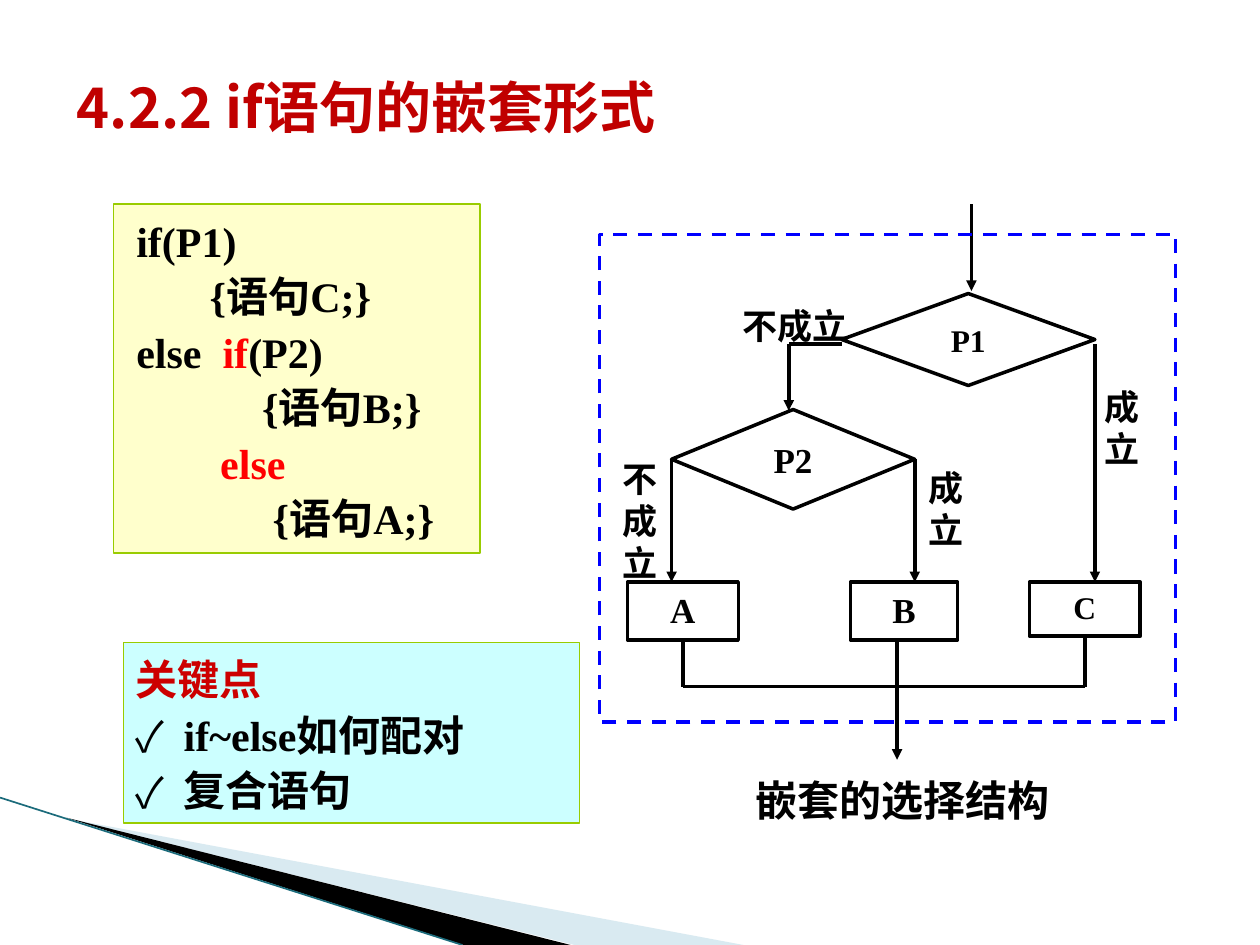
from dataclasses import dataclass

from lxml.etree import SubElement
from pptx import Presentation
from pptx.dml.color import RGBColor
from pptx.enum.dml import MSO_LINE
from pptx.enum.shapes import MSO_CONNECTOR, MSO_SHAPE
from pptx.enum.text import MSO_ANCHOR, PP_ALIGN
from pptx.oxml.ns import qn
from pptx.util import Inches, Pt


@dataclass(frozen=True)
class Theme:
    black: str = "000000"
    red: str = "FF0000"
    dark_red: str = "CC0000"
    title_red: str = "C00000"
    blue: str = "0000FF"
    green: str = "99CC00"
    yellow: str = "FFFFCC"
    cyan: str = "CCFFFF"
    swoosh: str = "A0CBDC"
    swoosh_edge: str = "1B6B7B"
    latin_font: str = "Times New Roman"
    chinese_font: str = "Noto Sans CJK SC"
    title_size: int = 32
    body_size: int = 24
    label_size: int = 20
    small_size: int = 18
    panel_pitch: float = 31.7
    label_pitch: float = 24
    stroke: float = 2


THEME = Theme()
TOP, LEFT, BOTTOM, RIGHT = range(4)


def inches(*values):
    return [Inches(value) for value in values]


def style_span(span, size, color=THEME.black, font=THEME.latin_font):
    span.font.size = Pt(size)
    span.font.bold = True
    span.font.color.rgb = RGBColor.from_string(color)
    span.font.name = font
    SubElement(span._r.get_or_add_rPr(), qn("a:ea")).set("typeface", THEME.chinese_font)


def style_shape(shape, fill=None, line=None, width=THEME.stroke):
    shape.shadow.inherit = False
    if fill:
        shape.fill.solid()
        shape.fill.fore_color.rgb = RGBColor.from_string(fill)
    else:
        shape.fill.background()
    if line:
        shape.line.color.rgb = RGBColor.from_string(line)
        shape.line.width = Pt(width)
    else:
        shape.line.fill.background()


def add_swoosh(page, points, color, opacity=None):
    builder = page.shapes.build_freeform(*inches(*points[0]))
    builder.add_line_segments([inches(*point) for point in points[1:]])
    shape = builder.convert_to_shape()
    style_shape(shape, color)
    if opacity:
        color_node = shape._element.spPr.find(qn("a:solidFill"))[0]
        SubElement(color_node, qn("a:alpha")).set("val", str(opacity * 1000))


def add_line(page, start, end, arrow=False, color=THEME.black, width=THEME.stroke):
    line = page.shapes.add_connector(MSO_CONNECTOR.STRAIGHT, *inches(*start, *end))
    line.line.color.rgb = RGBColor.from_string(color)
    line.line.width = Pt(width)
    if arrow:
        SubElement(line.line._get_or_add_ln(), qn("a:tailEnd")).set("type", "triangle")
    SubElement(line._element.spPr, qn("a:effectLst"))
    return line


def add_centred_text(box, text, size, anchor=MSO_ANCHOR.TOP):
    frame = box.text_frame
    frame.word_wrap = True
    frame.vertical_anchor = anchor
    frame.text = text
    para = frame.paragraphs[0]
    para.alignment = PP_ALIGN.CENTER
    style_span(para.runs[0], size)
    return para


def add_node(page, kind, text, place, size, anchor=MSO_ANCHOR.TOP):
    node = page.shapes.add_shape(kind, *inches(*place))
    style_shape(node, line=THEME.black)
    add_centred_text(node, text, size, anchor)
    return node


def add_label(page, text, place):
    box = page.shapes.add_textbox(*inches(*place))
    para = add_centred_text(box, text, THEME.label_size)
    para.line_spacing = Pt(THEME.label_pitch)


def add_panel(page, place, fill, line_width, lines):
    """Fill a framed panel; each line is a list of (text, colour) spans."""
    panel = page.shapes.add_shape(MSO_SHAPE.RECTANGLE, *inches(*place))
    style_shape(panel, fill, THEME.green, line_width)
    frame = panel.text_frame
    frame.word_wrap = True
    frame.vertical_anchor = MSO_ANCHOR.TOP
    for index, line in enumerate(lines):
        para = frame.add_paragraph() if index else frame.paragraphs[0]
        para.alignment = PP_ALIGN.LEFT
        para.line_spacing = Pt(THEME.panel_pitch)
        for text, color in line:
            span = para.add_run()
            span.text = text
            style_span(span, THEME.body_size, color)
    return frame


def add_bullet(para):
    properties = para._p.get_or_add_pPr()
    properties.set("marL", str(Inches(0.38)))
    properties.set("indent", str(-Inches(0.38)))
    SubElement(properties, qn("a:buFont")).set("typeface", THEME.chinese_font)
    SubElement(properties, qn("a:buChar")).set("char", "✓")


def add_title(page, text):
    title = page.shapes.title
    title.left, title.top, title.width, title.height = inches(0.51, 0.52, 6.51, 0.64)
    frame = title.text_frame
    frame.text = text
    frame.word_wrap = True
    frame.vertical_anchor = MSO_ANCHOR.MIDDLE
    frame.paragraphs[0].alignment = PP_ALIGN.LEFT
    style_span(frame.paragraphs[0].runs[0], THEME.title_size, THEME.title_red, THEME.chinese_font)


def add_flowchart(page):
    # Decisions and statements
    diamond, rectangle = MSO_SHAPE.DIAMOND, MSO_SHAPE.RECTANGLE
    add_node(page, diamond, "P1", (6.68, 2.33, 2.01, 0.73), THEME.small_size, MSO_ANCHOR.MIDDLE)
    second = add_node(page, diamond, "P2", (5.33, 3.25, 1.93, 0.79),
                      THEME.label_size, MSO_ANCHOR.MIDDLE)
    box_a = add_node(page, rectangle, "A", (4.98, 4.62, 0.88, 0.46), THEME.label_size)
    add_node(page, rectangle, "B", (6.75, 4.62, 0.85, 0.46), THEME.label_size)
    box_c = add_node(page, rectangle, "C", (8.17, 4.62, 0.88, 0.43), THEME.small_size)

    # Entry and branches
    box_top, merge = 4.62, 5.45
    add_line(page, (7.71, 1.62), (7.71, 2.31), arrow=True)
    add_line(page, (6.68, 2.73), (6.26, 2.73))
    add_line(page, (6.26, 2.73), (6.26, 3.26), arrow=True)
    add_line(page, (8.69, 2.73), (8.69, box_top), arrow=True)
    for x, side in ((5.33, LEFT), (7.26, RIGHT)):
        add_line(page, (x, 3.64), (x, box_top), arrow=True).begin_connect(second, side)

    # Merge and exit
    for x, box in ((5.42, box_a), (8.61, box_c)):
        add_line(page, (x, 5.08), (x, merge)).begin_connect(box, BOTTOM)
    add_line(page, (5.42, merge), (8.61, merge))
    add_line(page, (7.12, 5.08), (7.12, 6.03), arrow=True)

    # Branch labels
    add_label(page, "不成立", (5.79, 2.37, 1.04, 0.43))
    add_label(page, "不成立", (4.84, 3.58, 0.44, 1.1))
    for place in ((8.67, 3.01), (7.27, 3.65)):
        add_label(page, "成立", (*place, 0.44, 0.77))

    # Frame and caption
    frame = page.shapes.add_shape(rectangle, *inches(4.76, 1.86, 4.57, 3.87))
    style_shape(frame, line=THEME.blue)
    frame.line.dash_style = MSO_LINE.DASH
    caption = page.shapes.add_textbox(*inches(5.76, 6.11, 2.8, 0.47))
    add_centred_text(caption, "嵌套的选择结构", THEME.body_size, MSO_ANCHOR.MIDDLE)


def main():
    deck = Presentation()
    deck.slide_width, deck.slide_height = inches(10, 7.5)
    page = deck.slides.add_slide(deck.slide_layouts[5])

    # Corner decoration
    add_swoosh(page, [(0.55, 6.5), (5.9, 7.5), (4.56, 7.5)], THEME.swoosh, opacity=40)
    add_swoosh(page, [(0.53, 6.49), (4.53, 7.5), (3.68, 7.5)], THEME.black)
    add_line(page, (0, 6.33), (3.67, 7.5), color=THEME.swoosh_edge, width=0.95)

    add_title(page, "4.2.2 if语句的嵌套形式")
    add_flowchart(page)

    # Code panel
    black, red = THEME.black, THEME.red
    add_panel(page, (0.9, 1.62, 2.91, 2.77), THEME.yellow, 0.75, [
        [(" if(P1)", black)],
        [("        {语句C;}", black)],
        [(" else ", black), (" if", red), ("(P2)", black)],
        [("             {语句B;}", black)],
        [("         else", red)],
        [("              {语句A;}", black)],
    ])

    # Key points
    points = add_panel(page, (0.98, 5.1, 3.62, 1.43), THEME.cyan, 1, [
        [("关键点", THEME.dark_red)],
        [("if~else如何配对", black)],
        [("复合语句", black)],
    ])
    for para in points.paragraphs[1:]:
        add_bullet(para)

    deck.save("out.pptx")


if __name__ == "__main__":
    main()
